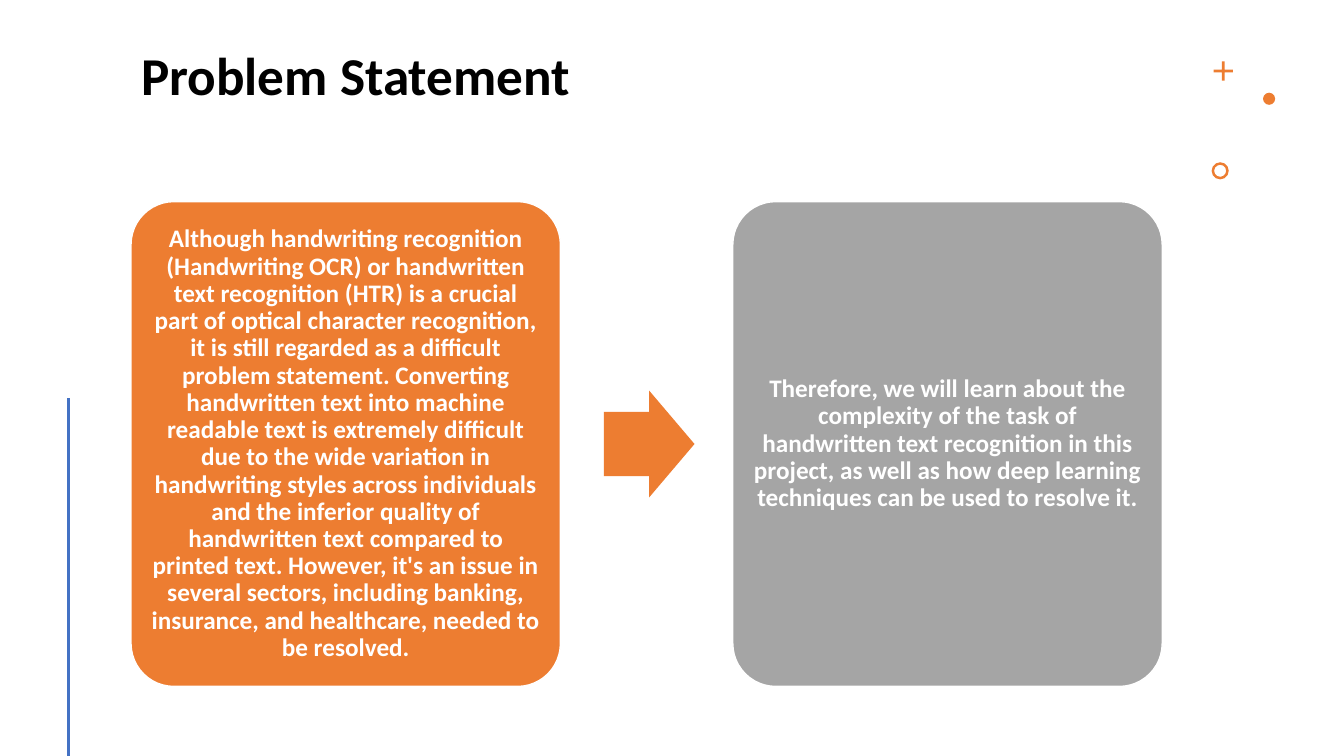
import pptx
import pptx.dml.color
import pptx.enum.shapes
import pptx.enum.text
import pptx.oxml
import pptx.util

RGBColor = pptx.dml.color.RGBColor
SHAPE = pptx.enum.shapes.MSO_SHAPE
ANCHOR = pptx.enum.text.MSO_ANCHOR
ALIGN = pptx.enum.text.PP_ALIGN

ORANGE = RGBColor(0xED, 0x7D, 0x31)
GRAY = RGBColor(0xA5, 0xA5, 0xA5)
BLUE = RGBColor(0x44, 0x72, 0xC4)
WHITE = RGBColor(0xFF, 0xFF, 0xFF)
BLACK = RGBColor(0, 0, 0)
FONT = "Calibri"

# The grid has ten columns and ten rows to the inch.
SLIDE_COLS, SLIDE_ROWS = 133.33, 75
LEFT, RIGHT = 13, 115.3
CARD_TOP, CARD_COLS, CARD_ROWS = 20, 42.6, 48.1
ARROW_COLS, ARROW_ROWS = 9, 10.6

PROBLEM = (
    "Although handwriting recognition (Handwriting OCR) or handwritten text "
    "recognition (HTR) is a crucial part of optical character recognition, it is "
    "still regarded as a difficult problem statement. Converting handwritten text "
    "into machine readable text is extremely difficult due to the wide variation in "
    "handwriting styles across individuals and the inferior quality of handwritten "
    "text compared to printed text. However, it's an issue in several sectors, "
    "including banking, insurance, and healthcare, needed to be resolved."
)
APPROACH = (
    "Therefore, we will learn about the complexity of the task of handwritten text "
    "recognition in this project, as well as how deep learning techniques can be "
    "used to resolve it."
)


def grid(*cells):
    """Convert grid cells to slide lengths."""
    return [pptx.util.Inches(cell / 10) for cell in cells]


def add_figure(slide, kind, box, color, adjustments=()):
    figure = slide.shapes.add_shape(kind, *grid(*box))
    figure.shadow.inherit = False
    figure.fill.solid()
    figure.fill.fore_color.rgb = color
    figure.line.fill.background()
    for index, value in enumerate(adjustments):
        figure.adjustments[index] = value
    return figure


def write(frame, text, size, color, align):
    frame.word_wrap = True
    paragraph = frame.paragraphs[0]
    paragraph.alignment = align
    paragraph.line_spacing = 0.9
    run = paragraph.add_run()
    run.text = text
    run.font.name = FONT
    run.font.size = pptx.util.Pt(size)
    run.font.bold = True
    run.font.color.rgb = color


def add_title(slide, text):
    title = slide.shapes.title
    title.left, title.top, title.width, title.height = grid(LEFT, 4.2, RIGHT - LEFT, 13.1)
    frame = title.text_frame
    frame.auto_size = pptx.enum.text.MSO_AUTO_SIZE.NONE
    frame.vertical_anchor = ANCHOR.TOP
    frame.margin_top = pptx.util.Inches(0.07)
    write(frame, text, 38, BLACK, ALIGN.LEFT)


def add_card(slide, left, text, color):
    card = add_figure(slide, SHAPE.ROUNDED_RECTANGLE,
                      (left, CARD_TOP, CARD_COLS, CARD_ROWS), color, [0.1])
    card.line.color.rgb = WHITE
    card.line.width = pptx.util.Pt(1)
    frame = card.text_frame
    frame.vertical_anchor = ANCHOR.MIDDLE
    frame.margin_left = frame.margin_right = pptx.util.Inches(0.07)
    frame.margin_top = frame.margin_bottom = pptx.util.Inches(0.07)
    write(frame, text, 18, WHITE, ALIGN.CENTER)


def add_side_line(slide):
    side_line = slide.shapes.add_connector(
        pptx.enum.shapes.MSO_CONNECTOR.STRAIGHT, *grid(6.8, 39.5, 6.8, SLIDE_ROWS))
    side_line.line.color.rgb = BLUE
    side_line.line.width = pptx.util.Pt(2)
    properties = side_line._element.spPr
    properties.append(properties.makeelement(pptx.oxml.ns.qn("a:effectLst"), {}))


def main():
    deck = pptx.Presentation()
    deck.slide_width, deck.slide_height = grid(SLIDE_COLS, SLIDE_ROWS)
    slide = deck.slides.add_slide(deck.slide_layouts[5])

    add_title(slide, "Problem Statement")
    add_figure(slide, SHAPE.CROSS, (120.4, 6.1, 1.9, 1.9), ORANGE, [0.43])
    add_figure(slide, SHAPE.OVAL, (125.3, 9.2, 1.2, 1.2), ORANGE)
    add_figure(slide, SHAPE.DONUT, (120.2, 16.1, 1.7, 1.7), ORANGE, [0.15])
    add_side_line(slide)

    add_card(slide, LEFT, PROBLEM, ORANGE)
    arrow_top = CARD_TOP + (CARD_ROWS - ARROW_ROWS) / 2
    add_figure(slide, SHAPE.RIGHT_ARROW, (59.9, arrow_top, ARROW_COLS, ARROW_ROWS),
               ORANGE, [0.6, 0.5])
    add_card(slide, RIGHT - CARD_COLS, APPROACH, GRAY)

    deck.save("out.pptx")


if __name__ == "__main__":
    main()
